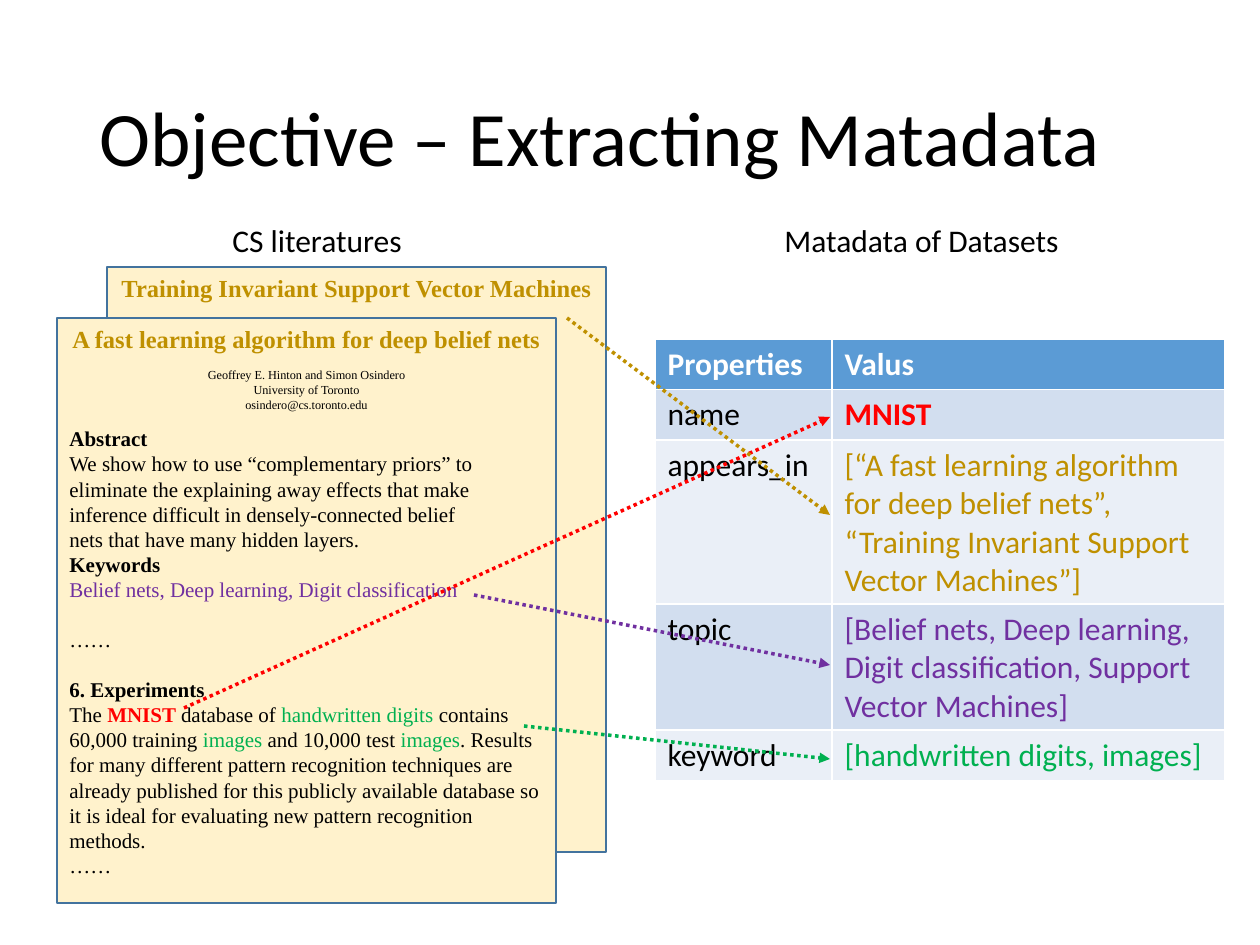
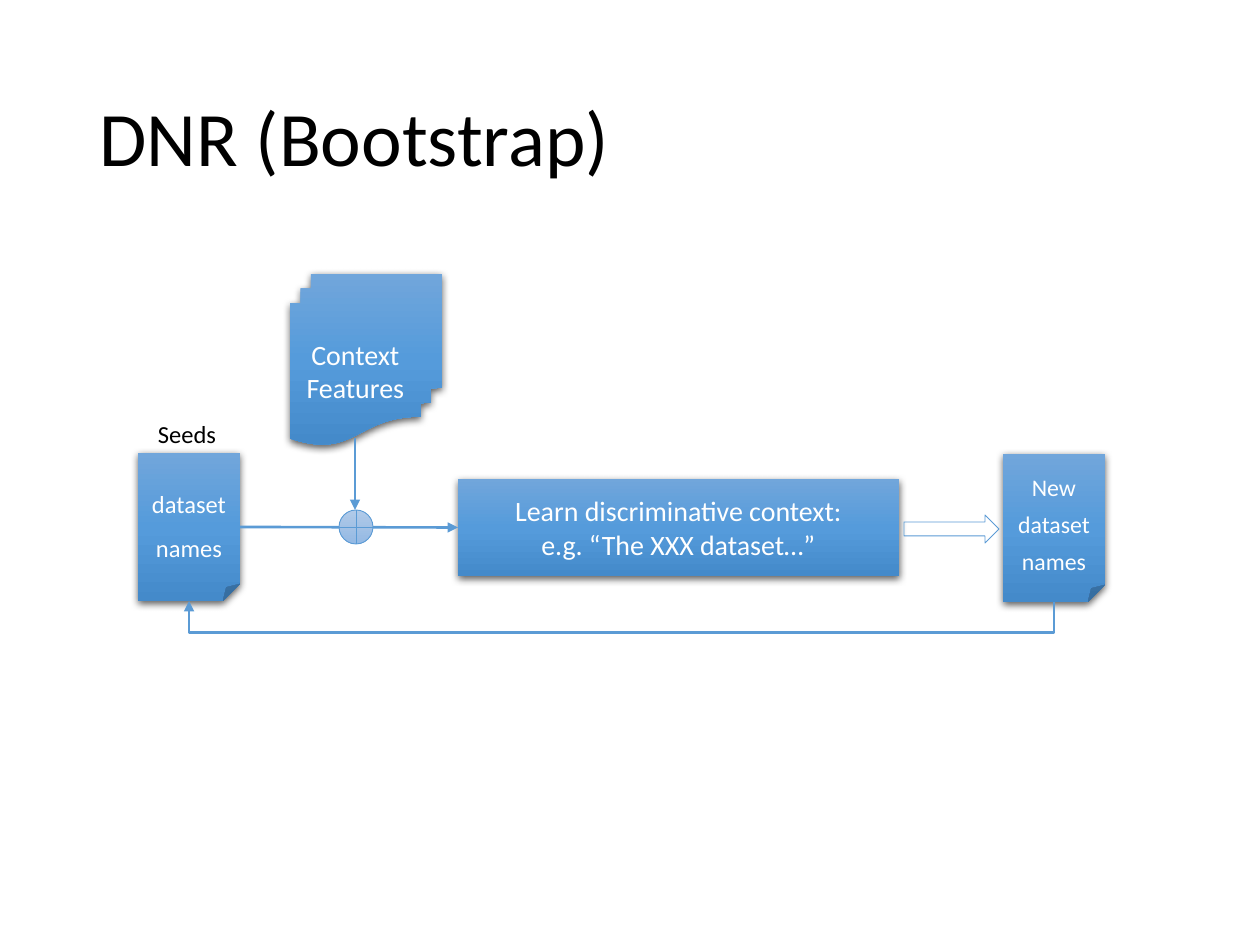
from pptx import Presentation
from pptx.dml.color import RGBColor
from pptx.enum.dml import MSO_LINE_DASH_STYLE as DASH
from pptx.enum.shapes import MSO_CONNECTOR as CONNECTOR, MSO_SHAPE as SHAPE
from pptx.enum.text import MSO_ANCHOR as ANCHOR, PP_ALIGN as ALIGN
from pptx.oxml import parse_xml
from pptx.oxml.ns import nsdecls, qn
from pptx.util import Pt
from lxml.etree import SubElement

PX = 914400 / 126
TITLE_ONLY = 5

SANS = "Calibri"
SERIF = "Times New Roman"

BLACK = RGBColor(0x00, 0x00, 0x00)
WHITE = RGBColor(0xFF, 0xFF, 0xFF)
RED = RGBColor(0xFF, 0x00, 0x00)
GOLD = RGBColor(0xBF, 0x90, 0x00)
PURPLE = RGBColor(0x70, 0x30, 0xA0)
GREEN = RGBColor(0x00, 0xB0, 0x50)
CREAM = RGBColor(0xFF, 0xF2, 0xCC)
PAGE_EDGE = RGBColor(0x43, 0x73, 0x9E)
BLUE = RGBColor(0x5B, 0x9B, 0xD5)
ROW_DARK = RGBColor(0xD2, 0xDE, 0xEF)
ROW_LIGHT = RGBColor(0xEA, 0xEF, 0xF7)
STRONG_BLUES = [RGBColor(0x71, 0xA6, 0xDB), RGBColor(0x55, 0x9B, 0xDB), RGBColor(0x44, 0x8A, 0xCA)]
PALE_BLUES = [RGBColor(0xB1, 0xCB, 0xE9), RGBColor(0xA3, 0xC1, 0xE5), RGBColor(0x93, 0xB9, 0xE4)]


def px(*lengths):
    return [round(length * PX) for length in lengths]


def add_text(frame, *runs, font=SANS, size=18, color=BLACK, bold=False,
             align=ALIGN.LEFT, spacing=None, before=None, after=None):
    """Add one paragraph; a run is a string or (string, {"color", "bold"})."""
    paragraph = frame.paragraphs[0]
    if paragraph.runs:
        paragraph = frame.add_paragraph()
    paragraph.alignment = align
    if spacing:
        paragraph.line_spacing = spacing
    if before is not None:
        paragraph.space_before = Pt(before)
    if after is not None:
        paragraph.space_after = Pt(after)
    for item in runs:
        words, special = (item, {}) if isinstance(item, str) else item
        run = paragraph.add_run()
        run.text = words
        run.font.name = font
        run.font.size = Pt(size)
        run.font.bold = special.get("bold", bold)
        run.font.color.rgb = special.get("color", color)


def add_titled_slide(deck, heading):
    slide = deck.slides.add_slide(deck.slide_layouts[TITLE_ONLY])
    title = slide.shapes.title
    title.left, title.top, title.width, title.height = px(87, 50, 1086, 183)
    title.text_frame.vertical_anchor = ANCHOR.MIDDLE
    add_text(title.text_frame, heading, size=44, spacing=0.9)
    return slide


def add_label(slide, box, words, **style):
    frame = slide.shapes.add_textbox(*px(*box)).text_frame
    frame.word_wrap = False
    add_text(frame, words, **style)


def add_page(slide, box, heading):
    page = slide.shapes.add_shape(SHAPE.RECTANGLE, *px(*box))
    page.shadow.inherit = False
    page.fill.solid()
    page.fill.fore_color.rgb = CREAM
    page.line.color.rgb = PAGE_EDGE
    page.line.width = Pt(1)
    page.text_frame.vertical_anchor = ANCHOR.TOP
    add_text(page.text_frame, heading, font=SERIF, size=14, color=GOLD, bold=True, align=ALIGN.CENTER)
    return page.text_frame


def fill_gradient(shape, colors):
    """Fill from top to bottom with three evenly spaced colours."""
    stops = "".join(f'<a:gs pos="{i * 50000}"><a:srgbClr val="{color}"/></a:gs>'
                    for i, color in enumerate(colors))
    shape._element.spPr.append(parse_xml(
        f'<a:gradFill {nsdecls("a")} rotWithShape="1"><a:gsLst>{stops}</a:gsLst>'
        '<a:lin ang="5400000" scaled="0"/></a:gradFill>'))


def add_symbol(slide, kind, box, colors=None):
    """Add a thinly outlined flow symbol without text."""
    symbol = slide.shapes.add_shape(kind, *px(*box))
    symbol.shadow.inherit = False
    if colors:
        fill_gradient(symbol, colors)
    else:
        symbol.fill.background()
    symbol.line.color.rgb = BLUE
    symbol.line.width = Pt(0.5)


def add_step(slide, kind, box, lines, side_inset=13, **style):
    """Add a shaded, borderless flow step with a soft shadow."""
    step = slide.shapes.add_shape(kind, *px(*box))
    fill_gradient(step, STRONG_BLUES)
    step.line.fill.background()
    step._element.spPr.append(parse_xml(
        f'<a:effectLst {nsdecls("a")}><a:outerShdw blurRad="57150" dist="19050" dir="5400000" '
        'algn="ctr" rotWithShape="0"><a:srgbClr val="000000"><a:alpha val="63000"/></a:srgbClr>'
        '</a:outerShdw></a:effectLst>'))
    frame = step.text_frame
    frame.word_wrap = True
    frame.vertical_anchor = ANCHOR.MIDDLE
    frame.margin_left = frame.margin_right = px(side_inset)[0]
    for line in lines:
        add_text(frame, line, color=WHITE, align=ALIGN.CENTER, **style)
    return step


def add_arrow(slide, start, end, color=BLUE, width=1.5, dash=None, kind=CONNECTOR.STRAIGHT, arrow_end="tailEnd"):
    arrow = slide.shapes.add_connector(kind, *px(*start, *end))
    arrow.line.color.rgb = color
    arrow.line.width = Pt(width)
    if dash:
        arrow.line.dash_style = dash
    SubElement(arrow.line._get_or_add_ln(), qn("a:" + arrow_end), type="triangle")
    SubElement(arrow._element.spPr, qn("a:effectLst"))
    return arrow


def add_feedback_arrow(slide, seeds, found, start, end, depth):
    """Run an elbow arrow below both notes, back from found to seeds."""
    arrow = add_arrow(slide, start, end, kind=CONNECTOR.ELBOW, arrow_end="headEnd")
    arrow.begin_connect(seeds, 2)
    arrow.end_connect(found, 2)
    span, drop = end[0] - start[0], end[1] - start[1]
    center_x, center_y = (start[0] + end[0]) / 2, (start[1] + end[1]) / 2
    arrow.left, arrow.top, arrow.width, arrow.height = px(
        center_x - drop / 2, center_y - span / 2, drop, span)
    spPr = arrow._element.spPr
    frame = spPr.find(qn("a:xfrm"))
    frame.set("rot", "16200000")
    frame.set("flipH", "1")
    guides = spPr.find(qn("a:prstGeom")).find(qn("a:avLst"))
    SubElement(guides, qn("a:gd"), name="adj1", fmla=f"val {round(depth / drop * 100000)}")


def add_metadata_table(slide, box, column_widths, rows):
    """Rows hold (height, property, value, value colour, value bold)."""
    table = slide.shapes.add_table(len(rows), 2, *px(*box)).table
    for column, width in zip(table.columns, px(*column_widths)):
        column.width = width
    for i, (height, name, value, color, bold) in enumerate(rows):
        table.rows[i].height = px(height)[0]
        header = i == 0
        band = BLUE if header else (ROW_DARK if i % 2 else ROW_LIGHT)
        styles = [(name, WHITE if header else BLACK, header), (value, color, bold)]
        for j, (words, text_color, is_bold) in enumerate(styles):
            cell = table.cell(i, j)
            cell.fill.solid()
            cell.fill.fore_color.rgb = band
            add_text(cell.text_frame, words, color=text_color, bold=is_bold)


def write_paper(frame):
    byline = {"font": SERIF, "size": 7, "align": ALIGN.CENTER}
    body = {"font": SERIF, "size": 12}
    green = {"color": GREEN}
    add_text(frame, "Geoffrey E. Hinton and Simon Osindero", before=8, **byline)
    add_text(frame, "University of Toronto", **byline)
    add_text(frame, "osindero@cs.toronto.edu", after=8, **byline)
    add_text(frame, "Abstract", bold=True, **body)
    for line in ("We show how to use “complementary priors” to eliminate the explaining away effects that make",
                 "inference difficult in densely-connected belief",
                 "nets that have many hidden layers."):
        add_text(frame, line, **body)
    add_text(frame, "Keywords", bold=True, **body)
    add_text(frame, "Belief nets, Deep learning, Digit classification", color=PURPLE, **body)
    add_text(frame, "……", before=14, **body)
    add_text(frame, "6. Experiments", bold=True, before=14, **body)
    add_text(frame, "The ", ("MNIST ", {"color": RED, "bold": True}), "database of ",
             ("handwritten digits ", green), "contains 60,000 training ", ("images", green),
             " and 10,000 test ", ("images", green),
             ". Results for many different pattern recognition techniques are already published for "
             "this publicly available database so it is ideal for evaluating new pattern "
             "recognition methods.", **body)
    add_text(frame, "……", **body)


def build_objective(deck):
    slide = add_titled_slide(deck, "Objective – Extracting Matadata")
    add_page(slide, (107, 267, 499, 585), "Training Invariant Support Vector Machines")
    write_paper(add_page(slide, (57, 318, 499, 585), "A fast learning algorithm for deep belief nets"))
    add_label(slide, (220, 215, 198, 50), "CS literatures")
    add_label(slide, (772, 215, 301, 50), "Matadata of Datasets")
    add_metadata_table(slide, (655, 339, 570, 440), (177, 393), [
        (50, "Properties", "Valus", WHITE, True),
        (50, "name", "MNIST", RED, True),
        (164, "appears_in", "[“A fast learning algorithm for deep belief nets”, "
         "“Training Invariant Support Vector Machines”]", GOLD, False),
        (126, "topic", "[Belief nets, Deep learning, Digit classification, "
         "Support Vector Machines]", PURPLE, False),
        (50, "keyword", "[handwritten digits, images]", GREEN, False),
    ])
    value_x = 830
    for source, value_y, color in [((184, 708), 417, RED), ((567, 318), 515, GOLD),
                                   ((474, 595), 665, PURPLE), ((524, 726), 759, GREEN)]:
        add_arrow(slide, source, (value_x, value_y), color, width=2, dash=DASH.ROUND_DOT)


def build_bootstrap(deck):
    slide = add_titled_slide(deck, "DNR (Bootstrap)")
    add_label(slide, (137, 413, 100, 43), "Seeds", size=14, align=ALIGN.CENTER)
    learning = add_step(slide, SHAPE.FLOWCHART_PREDEFINED_PROCESS, (458, 479, 441, 97),
                        ["Learn discriminative context:", "e.g. “The XXX dataset…”"],
                        side_inset=0, size=16)
    seeds = add_step(slide, SHAPE.FOLDED_CORNER, (138, 453, 102, 148), ["dataset names"],
                     side_inset=5, size=14, spacing=1.5)
    found = add_step(slide, SHAPE.FOLDED_CORNER, (1003, 454, 102, 148), ["New dataset names"],
                     side_inset=5, size=13.6, spacing=1.3)
    learn_arrow = add_arrow(slide, (240, 527), (458, 528))
    learn_arrow.begin_connect(seeds, 3)
    learn_arrow.end_connect(learning, 1)
    add_symbol(slide, SHAPE.FLOWCHART_OR, (339, 510, 34, 34), PALE_BLUES)
    add_symbol(slide, SHAPE.RIGHT_ARROW, (904, 515, 95, 28))
    add_feedback_arrow(slide, seeds, found, (189, 601), (1054, 602), depth=32)
    add_step(slide, SHAPE.FLOWCHART_MULTIDOCUMENT, (290, 274, 152, 171), ["Context Features"], size=16)
    add_arrow(slide, (355, 438), (355, 510))


def main():
    deck = Presentation()
    deck.slide_width, deck.slide_height = px(1260, 945)
    build_objective(deck)
    build_bootstrap(deck)
    deck.save("out.pptx")


if __name__ == "__main__":
    main()
